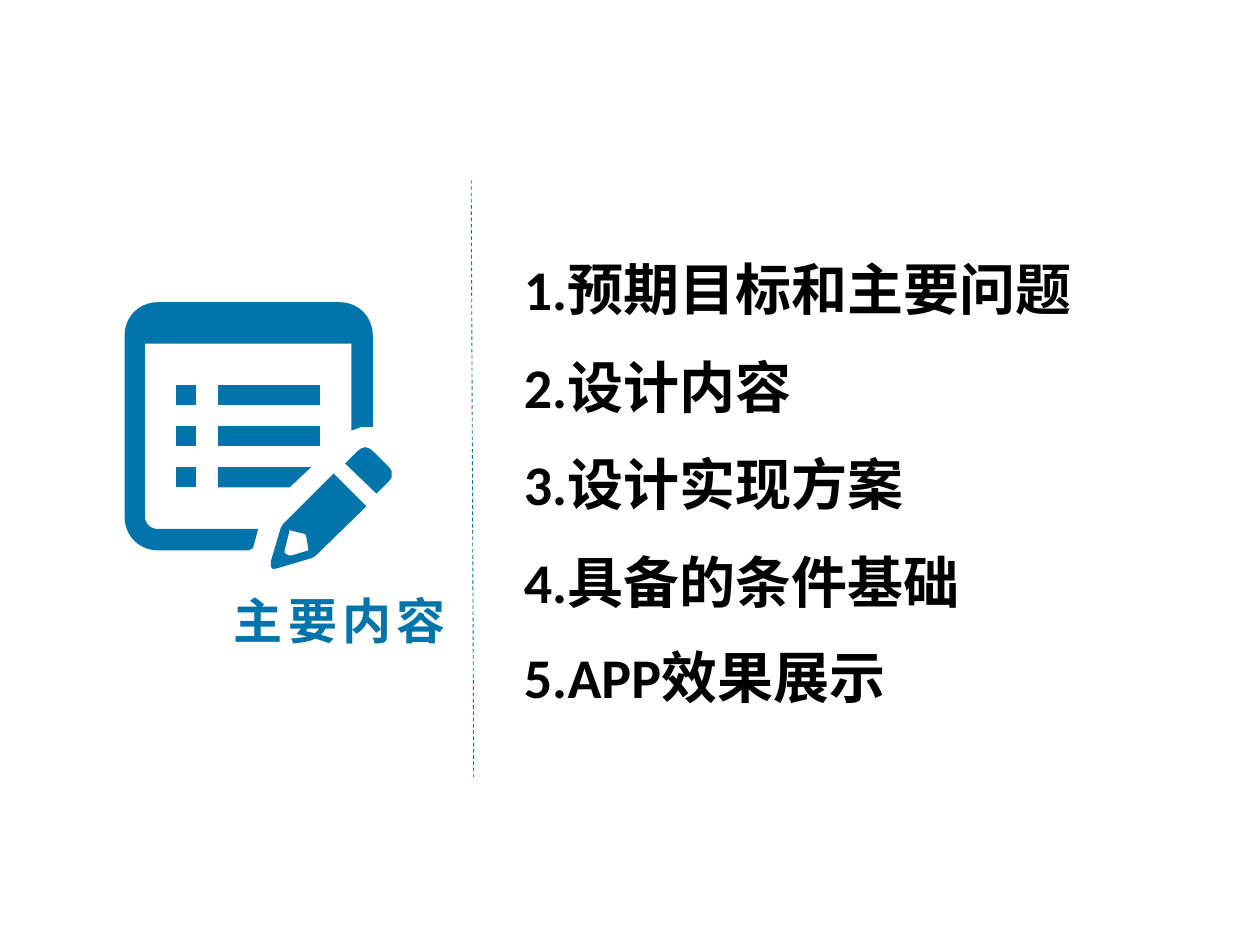
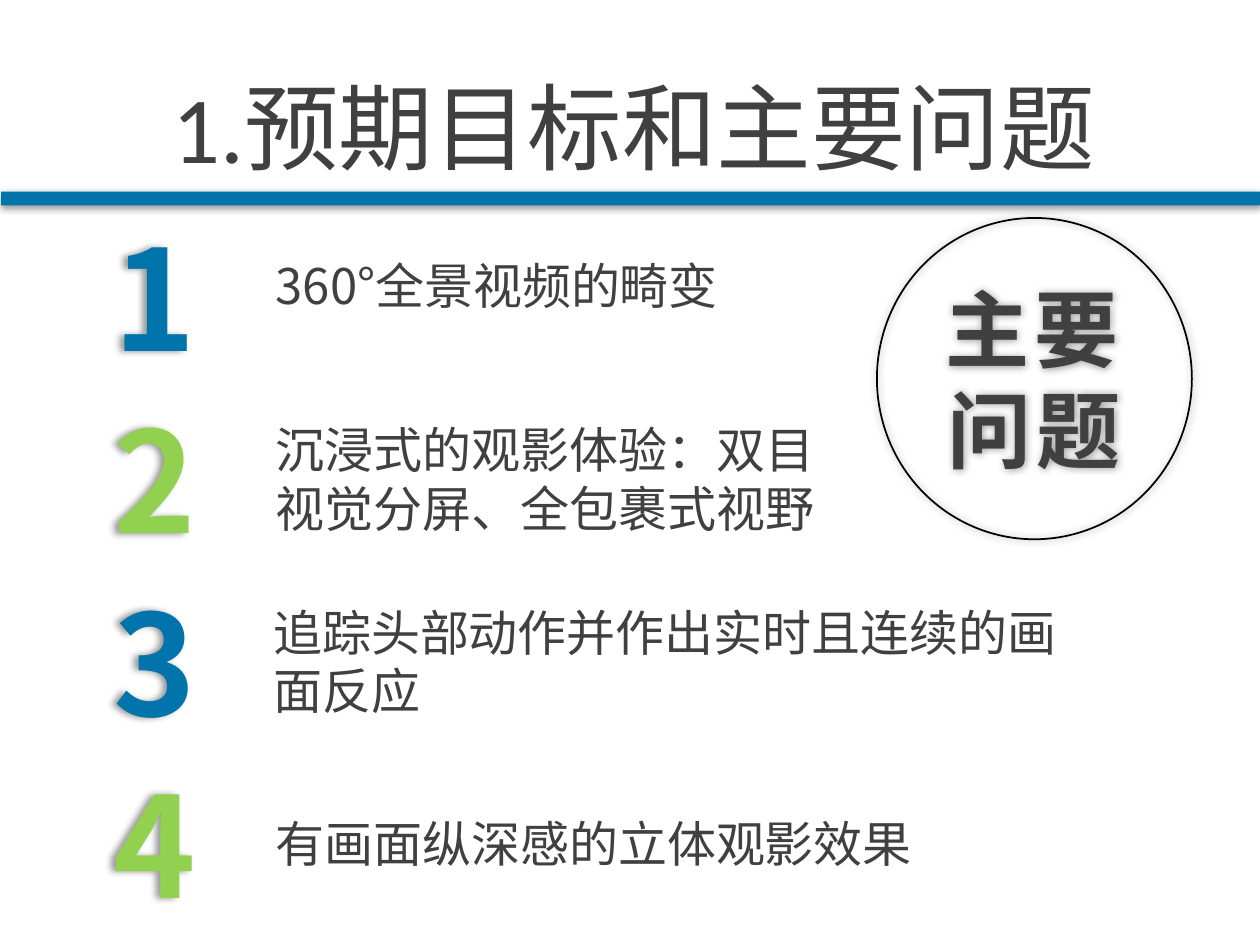
import math

import pptx
import pptx.dml.color
import pptx.enum.dml
import pptx.enum.shapes
import pptx.enum.text
import pptx.oxml
import pptx.oxml.ns
import pptx.util
from pptx.util import Inches

RGBColor = pptx.dml.color.RGBColor
Align = pptx.enum.text.PP_ALIGN
ShapeType = pptx.enum.shapes.MSO_SHAPE

BLUE = RGBColor(0x01, 0x74, 0xAB)
GREEN = RGBColor(0x92, 0xD1, 0x4F)
GREY = RGBColor(0x40, 0x40, 0x40)
BLACK = RGBColor(0, 0, 0)

LATIN_FONT = "Calibri"
CHINESE_FONT = "Noto Sans CJK SC"
FIRST_TOPIC = "1.预期目标和主要问题"

# Text with its top edge in inches
AGENDA = [
    (FIRST_TOPIC, 1.97),
    ("2.设计内容", 2.75),
    ("3.设计实现方案", 3.52),
    ("4.具备的条件基础", 4.3),
    ("5.APP效果展示", 5.05),
]

# Text with its left, top, width and height in inches
PROBLEMS = [
    ("360°全景视频的畸变", (2.09, 1.98, 6.69, 0.57)),
    ("沉浸式的观影体验：双目视觉分屏、全包裹式视野", (2.09, 3.28, 4.72, 1.04)),
    ("追踪头部动作并作出实时且连续的画面反应", (2.07, 4.73, 6.72, 1.04)),
    ("有画面纵深感的立体观影效果", (2.09, 6.41, 6.44, 0.57)),
]


def add_run(paragraph, text, size, color, font=CHINESE_FONT, bold=False, spacing=0):
    """Add one run; spacing is the extra room between characters in points."""
    run = paragraph.add_run()
    run.text = text
    run.font.size = pptx.util.Pt(size)
    run.font.bold = bold
    run.font.name = font
    run.font.color.rgb = color
    properties = run.font._element
    if spacing:
        properties.set("spc", str(spacing * 100))
    east_asian = pptx.oxml.parse_xml(
        f'<a:ea {pptx.oxml.ns.nsdecls("a")} typeface="{CHINESE_FONT}"/>'
    )
    properties.find(pptx.oxml.ns.qn("a:latin")).addnext(east_asian)


def add_text(slide, box, text, size, color, align=Align.LEFT, **style):
    shape = slide.shapes.add_textbox(*map(Inches, box))
    frame = shape.text_frame
    frame.word_wrap = True
    frame.auto_size = pptx.enum.text.MSO_AUTO_SIZE.SHAPE_TO_FIT_TEXT
    paragraph = frame.paragraphs[0]
    paragraph.alignment = align
    add_run(paragraph, text, size, color, **style)
    return shape


def add_shadow(shape, blur, distance, angle):
    """Cast a soft black shadow; blur and distance are in points."""
    shape.shadow.inherit = False
    effects = shape._element.spPr.find(pptx.oxml.ns.qn("a:effectLst"))
    effects.append(pptx.oxml.parse_xml(
        f'<a:outerShdw {pptx.oxml.ns.nsdecls("a")} blurRad="{pptx.util.Pt(blur)}" '
        f'dist="{pptx.util.Pt(distance)}" dir="{angle * 60000}" algn="ctr" '
        'rotWithShape="0"><a:srgbClr val="000000"><a:alpha val="40000"/>'
        '</a:srgbClr></a:outerShdw>'
    ))


def fill_plain(shape, color):
    shape.shadow.inherit = False
    shape.fill.solid()
    shape.fill.fore_color.rgb = color
    shape.line.fill.background()


def add_dashed_line(slide, start, end):
    line = slide.shapes.add_connector(
        pptx.enum.shapes.MSO_CONNECTOR.STRAIGHT, *map(Inches, start + end)
    )
    line.line.color.rgb = BLUE
    line.line.width = pptx.util.Pt(0.5)
    line.line.dash_style = pptx.enum.dml.MSO_LINE.DASH
    line._element.spPr.append(
        pptx.oxml.parse_xml(f'<a:effectLst {pptx.oxml.ns.nsdecls("a")}/>')
    )


def arc(center_x, center_y, radius, start, end, steps=10):
    """Return points on a circle, with angles in degrees clockwise from the right."""
    angles = [math.radians(start + (end - start) * i / steps) for i in range(steps + 1)]
    return [
        (center_x + radius * math.cos(angle), center_y + radius * math.sin(angle))
        for angle in angles
    ]


def add_outline(group, *contours):
    """Draw closed contours, given in inches, as one filled freeform."""
    contours = [[(x * 1000, y * 1000) for x, y in contour] for contour in contours]
    builder = group.shapes.build_freeform(*contours[0][0], scale=Inches(0.001))
    builder.add_line_segments(contours[0][1:])
    for contour in contours[1:]:
        builder.move_to(*contour[0])
        builder.add_line_segments(contour[1:])
    fill_plain(builder.convert_to_shape(), BLUE)


def add_note_icon(slide):
    group = slide.shapes.add_group_shape()
    page = [
        (2.05, 4.2), (2.01, 4.35), (1.98, 4.37),
        *arc(1.25, 4.11, 0.26, 90, 180),
        *arc(1.25, 2.66, 0.26, 180, 270),
        *arc(2.7, 2.66, 0.26, 270, 360),
        (2.96, 3.39), (2.87, 3.39), (2.79, 3.42), (2.79, 2.73), (1.15, 2.73),
        *arc(1.25, 4.1, 0.1, 180, 90),
    ]
    pencil = [
        (2.65, 3.76), (2.91, 4.02), (2.51, 4.41), (2.48, 4.43), (2.21, 4.51),
        (2.17, 4.52), (2.15, 4.5), (2.15, 4.46), (2.23, 4.19), (2.25, 4.16),
    ]
    pencil_tip = [
        (2.3, 4.21), (2.26, 4.37), (2.26, 4.39), (2.29, 4.41), (2.32, 4.41),
        (2.45, 4.37), (2.43, 4.25), (2.42, 4.24),
    ]
    eraser = [
        (2.74, 3.68), (2.84, 3.58), (2.87, 3.56), (2.9, 3.55), (2.93, 3.56),
        (2.96, 3.58), (3.09, 3.71), (3.11, 3.74), (3.11, 3.79), (3.09, 3.82),
        (2.99, 3.92),
    ]
    add_outline(group, page)
    add_outline(group, pencil, pencil_tip)
    add_outline(group, eraser)
    for top, lower_right in [(3.06, 2.54), (3.38, 2.54), (3.71, 2.3)]:
        bottom = top + 0.16
        upper_right = 2.54 if lower_right == 2.54 else 2.47
        for left, right, corner in [(1.4, 1.56, 1.56), (1.73, upper_right, lower_right)]:
            add_outline(
                group, [(left, top), (right, top), (corner, bottom), (left, bottom)]
            )


def add_title(slide, text):
    bar = slide.shapes.add_shape(
        ShapeType.RECTANGLE, *map(Inches, (0.01, 1.52, 10, 0.11))
    )
    fill_plain(bar, BLUE)
    add_shadow(bar, 4, 1, 90)
    add_text(slide, (0.06, 0.5, 9.94, 1.01), text, 54, GREY, Align.CENTER,
             font=LATIN_FONT)


def add_circle_label(slide, box, text):
    circle = slide.shapes.add_shape(ShapeType.OVAL, *map(Inches, box))
    circle.fill.background()
    circle.line.color.rgb = BLACK
    circle.line.width = pptx.util.Pt(1)
    add_shadow(circle, 5, 0, 0)
    frame = circle.text_frame
    frame.word_wrap = True
    frame.vertical_anchor = pptx.enum.text.MSO_ANCHOR.MIDDLE
    paragraph = frame.paragraphs[0]
    paragraph.alignment = Align.CENTER
    add_run(paragraph, text, 48, GREY, bold=True, spacing=3)


def build_agenda(slide):
    add_dashed_line(slide, (3.74, 1.43), (3.76, 6.19))
    for text, top in AGENDA:
        add_text(slide, (4.06, top, 5.34, 0.64), text, 32, BLACK,
                 font=LATIN_FONT, bold=True)
    add_note_icon(slide)
    add_text(slide, (1.24, 4.64, 2.91, 0.57), "主要内容", 28, BLUE, Align.CENTER,
             bold=True, spacing=3)


def build_problems(slide):
    add_title(slide, FIRST_TOPIC)
    for index, (text, box) in enumerate(PROBLEMS):
        add_text(slide, box, text, 28, GREY)
        number = add_text(
            slide, (0.62, 1.63 + 1.447 * index, 1.22, 1.45), str(index + 1), 80,
            (BLUE, GREEN)[index % 2], Align.CENTER, bold=True,
        )
        add_shadow(number, 4, 3, 180)
    add_circle_label(slide, (6.96, 1.73, 2.5, 2.55), "主要问题")


def main():
    presentation = pptx.Presentation()
    presentation.slide_width = Inches(10)
    presentation.slide_height = Inches(7.5)
    for build in (build_agenda, build_problems):
        build(presentation.slides.add_slide(presentation.slide_layouts[6]))
    presentation.save("out.pptx")


if __name__ == "__main__":
    main()
